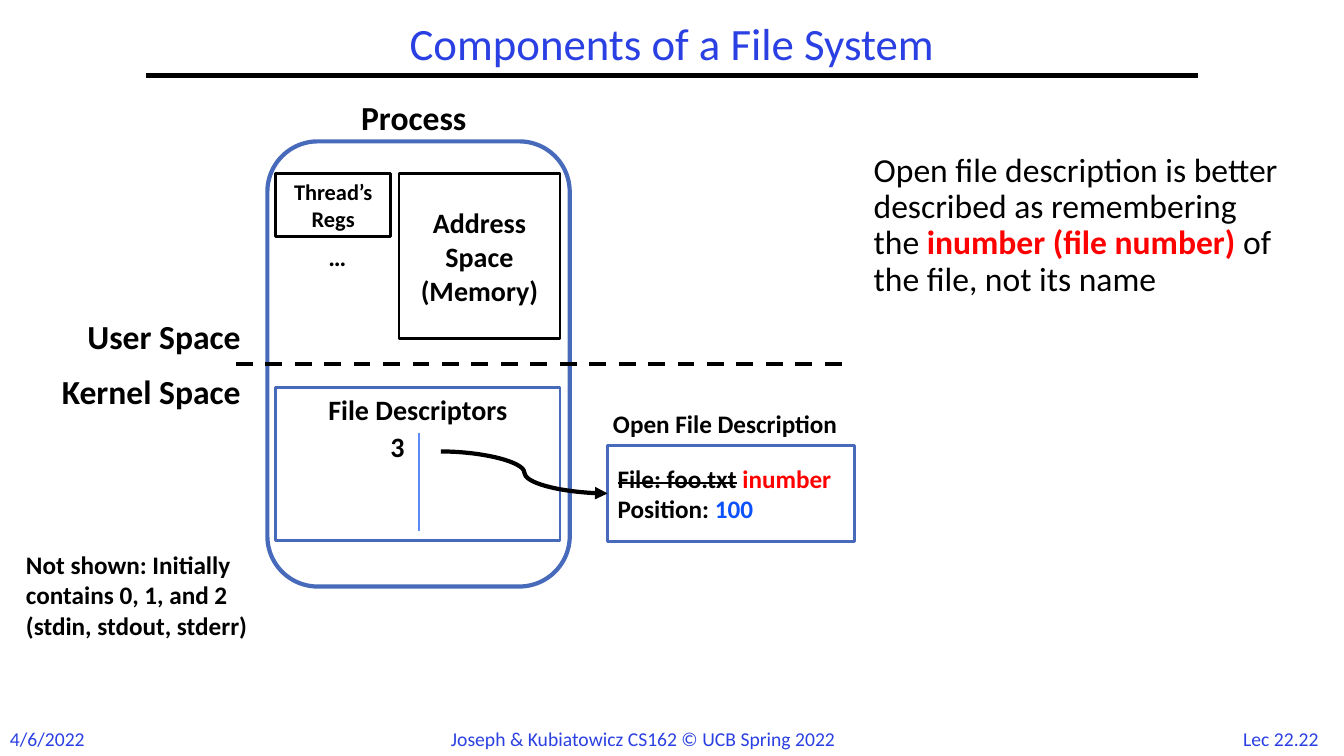
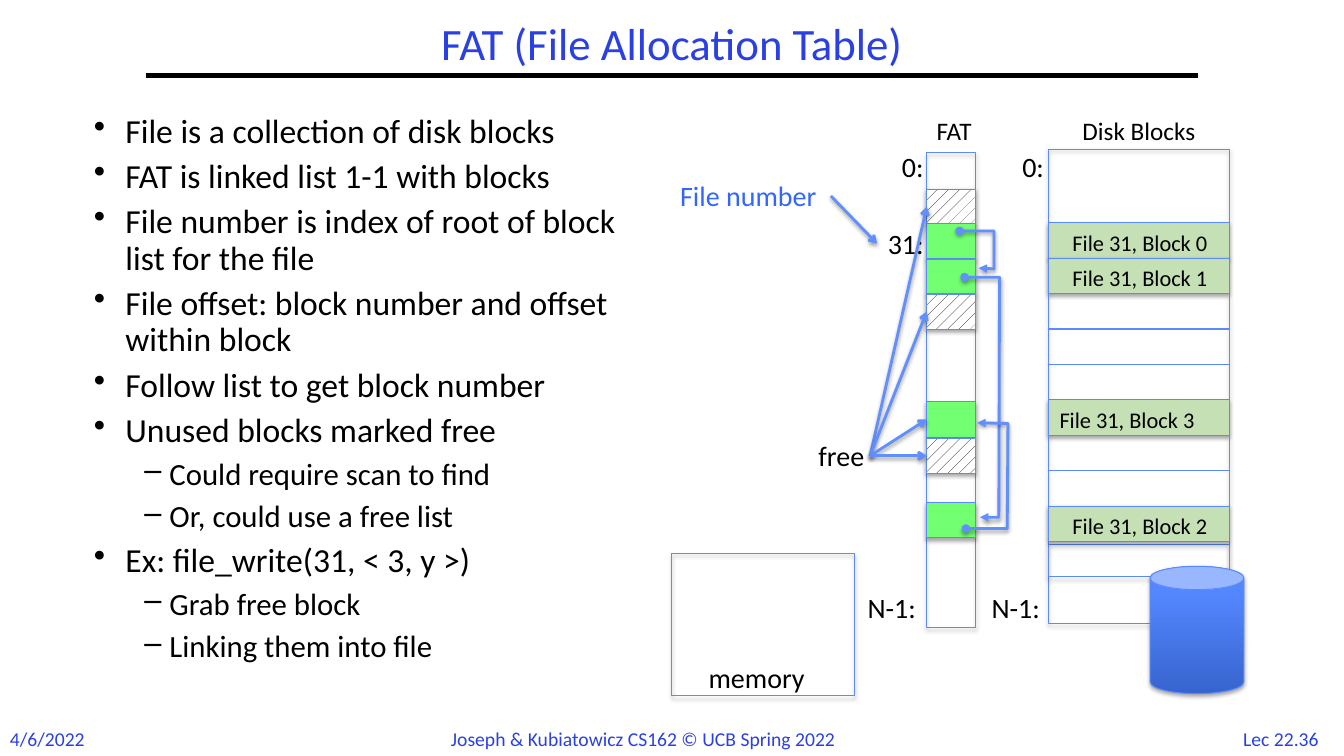
from lxml import etree
from pptx import Presentation
from pptx import util as u
from pptx.dml.color import RGBColor
from pptx.enum import dml, shapes, text
from pptx.oxml.ns import qn

Pt = u.Pt
FONT = "Calibri"
BLACK, WHITE, RED = "000000", "FFFFFF", "FF0000"
TITLE_BLUE, FRAME_BLUE = "2A40E2", "486ABB"
EDGE_BLUE, ARROW_BLUE = "5B8AFB", "618FFD"
CELL_GREEN, BLOCK_GREEN = "72FF72", "C5E0B4"
LEFT, CENTER, RIGHT = text.PP_ALIGN.LEFT, text.PP_ALIGN.CENTER, text.PP_ALIGN.RIGHT
TOP, MIDDLE = text.MSO_ANCHOR.TOP, text.MSO_ANCHOR.MIDDLE
RECT = shapes.MSO_SHAPE.RECTANGLE
STRAIGHT, CURVE = shapes.MSO_CONNECTOR.STRAIGHT, shapes.MSO_CONNECTOR.CURVE
LEFT_SIDE = 1


def color(value):
    return RGBColor.from_string(value)


def add_xml(parent, tag, **attributes):
    return etree.SubElement(parent, qn(tag), attributes)


def cast_shadow(effects, alpha):
    shadow = add_xml(effects, "a:outerShdw", blurRad=str(Pt(3.1)), dist=str(Pt(1.8)),
                     dir="5400000", rotWithShape="0")
    add_xml(add_xml(shadow, "a:srgbClr", val=BLACK), "a:alpha", val=str(alpha * 1000))


def style_shape(shape, fill=None, line=None, width=0.75, shadow=0):
    if fill:
        shape.fill.solid()
        shape.fill.fore_color.rgb = color(fill)
    else:
        shape.fill.background()
    shape.line.color.rgb = color(line)
    shape.line.width = Pt(width)
    shape.shadow.inherit = False
    if shadow:
        cast_shadow(shape._element.spPr.find(qn("a:effectLst")), shadow)


def add_ends(shape, head, tail):
    ln = shape.line._get_or_add_ln()
    for tag, kind in (("a:headEnd", head), ("a:tailEnd", tail)):
        if kind:
            add_xml(ln, tag, type=kind)


def add_box(slide, at, kind=RECT, **style):
    box = slide.shapes.add_shape(kind, *map(Pt, at))
    style_shape(box, **style)
    return box


def add_line(slide, start, end, line=BLACK, width=3, kind=STRAIGHT, dash=None,
             tail=None, shadow=0, target=None):
    """Draw a connector; a target box is joined at the middle of its left side."""
    connector = slide.shapes.add_connector(kind, *map(Pt, (*start, *end)))
    if target is not None:
        connector.end_connect(target, LEFT_SIDE)
    connector.line.color.rgb = color(line)
    connector.line.width = Pt(width)
    if dash:
        connector.line.dash_style = dash
    add_ends(connector, None, tail)
    effects = add_xml(connector._element.spPr, "a:effectLst")
    if shadow:
        cast_shadow(effects, shadow)


def add_link(slide, *points):
    """Draw a bent arrow that starts with a dot."""
    start, *rest = [tuple(map(Pt, point)) for point in points]
    builder = slide.shapes.build_freeform(*start)
    builder.add_line_segments(rest, close=False)
    link = builder.convert_to_shape()
    style_shape(link, line=ARROW_BLUE, width=2, shadow=38)
    add_ends(link, "oval", "triangle")


def format_span(span, size, ink, bold=False, strike=False):
    span.font.name = FONT
    span.font.size = Pt(size)
    span.font.color.rgb = color(ink)
    span.font.bold = bold
    if strike:
        span._r.get_or_add_rPr().set("strike", "sngStrike")


def write(box, *lines, size, ink=BLACK, bold=False, align=LEFT, anchor=TOP, spacing=None):
    """Fill a box; a line is a string or a list of (words, changes) spans."""
    frame = box.text_frame
    frame.word_wrap = True
    frame.vertical_anchor = anchor
    frame.text = "\n" * (len(lines) - 1)
    for para, line in zip(frame.paragraphs, lines):
        para.alignment = align
        if spacing:
            para.line_spacing = spacing
        for words, changes in [(line, {})] if isinstance(line, str) else line:
            span = para.add_run()
            span.text = words
            format_span(span, **{"size": size, "ink": ink, "bold": bold, **changes})


def add_text(slide, at, *lines, **style):
    write(slide.shapes.add_textbox(*map(Pt, at)), *lines, **style)


def add_bullets(slide, at, items):
    frame = slide.shapes.add_textbox(*map(Pt, at)).text_frame
    frame.word_wrap = True
    frame.text = "\n".join(words for _, words in items)
    for para, (level, _) in zip(frame.paragraphs, items):
        size, margin, hang, mark = ((24, 22.5, 22.5, "•"), (22, 54, 18, "–"))[level]
        para.level = level
        para.line_spacing = 0.9
        para.space_before = Pt(6.5)
        format_span(para.runs[0], size, BLACK)
        properties = para._p.get_or_add_pPr()
        properties.set("marL", str(Pt(margin)))
        properties.set("indent", str(-Pt(hang)))
        add_xml(properties, "a:buChar", char=mark)


def start_slide(deck, title, number):
    slide = deck.slides.add_slide(deck.slide_layouts[6])
    add_line(slide, (104, 54), (856, 54))
    add_text(slide, (104, 12, 752, 42), title, size=32, ink=TITLE_BLUE,
             align=CENTER, anchor=MIDDLE, spacing=0.9)
    for left, width, words, align in (
            (0, 80, "4/6/2022", LEFT),
            (315, 328, "Joseph & Kubiatowicz CS162 © UCB Spring 2022", CENTER),
            (876, 78, number, CENTER)):
        if words.startswith("Joseph"):
            align = LEFT
        add_text(slide, (left, 515.5, width, 24), words, size=14, ink=TITLE_BLUE, align=align)
    return slide


def build_components(deck):
    slide = start_slide(deck, "Components of a File System", "Lec 22.22")
    add_text(slide, (617, 106, 307, 343), [
        ("Open file description is better described as remembering the ", {}),
        ("inumber (file number)", {"ink": RED, "bold": True}),
        (" of the file, not its name", {})], size=24, spacing=0.9)

    add_box(slide, (191, 101, 216, 318), shapes.MSO_SHAPE.ROUNDED_RECTANGLE,
            line=FRAME_BLUE, width=3)
    add_line(slide, (168.5, 260), (602, 260), dash=dml.MSO_LINE.DASH)
    for at, words, size, edge, anchor in (
            ((285, 124, 115, 118), "Address Space (Memory)", 20, BLACK, MIDDLE),
            ((197, 124, 82, 45), "Thread’s Regs", 16, BLACK, MIDDLE),
            ((197, 277, 203, 109), "File Descriptors", 20, FRAME_BLUE, TOP)):
        box = add_box(slide, at, fill=WHITE, line=edge, width=2)
        write(box, words, size=size, bold=True, align=CENTER, anchor=anchor)
    add_line(slide, (299, 309), (299, 379.5), line=EDGE_BLUE, width=1.5)

    for at, words, size, align in (
            ((241, 66, 109, 36), "Process", 24, CENTER),
            ((32, 222, 147, 36), "User Space", 24, RIGHT),
            ((11, 261.5, 168, 36), "Kernel Space", 24, RIGHT),
            ((227.5, 169, 32, 29), "…", 18, LEFT),
            ((270, 303, 26, 32), "3", 20, RIGHT),
            ((417, 288, 202, 29), "Open File Description", 18, CENTER),
            ((11.5, 389, 194, 94),
             "Not shown: Initially contains 0, 1, and 2 (stdin, stdout, stderr)", 18, LEFT)):
        add_text(slide, at, words, size=size, bold=True, align=align)

    description = add_box(slide, (434, 318, 176.5, 69), fill=WHITE, line=FRAME_BLUE, width=2)
    write(description,
          [("File: foo.txt", {"strike": True}), (" ", {}), ("inumber", {"ink": RED})],
          [("Position: ", {}), ("100", {"ink": "0B52FC"})],
          size=18, bold=True, anchor=MIDDLE)
    add_line(slide, (315, 322.5), (434, 352.5), kind=CURVE, tail="triangle", target=description)


def add_disk_blocks(slide):
    left, width, first, step = 749, 129, 159.1, 25.3
    blocks = {0: (0, CENTER), 1: (1, CENTER), 5: (3, LEFT), 8: (2, CENTER)}
    add_box(slide, (left, 106.5, width, 339), line=EDGE_BLUE, shadow=35)
    add_box(slide, (left, 389, width, 23), line=EDGE_BLUE, shadow=35)
    for row in range(9):
        top = first + row * step
        if row not in blocks:
            add_box(slide, (left, top, width, step), line=EDGE_BLUE)
            continue
        block, align = blocks[row]
        add_box(slide, (left, top, width, step), fill=BLOCK_GREEN, line=EDGE_BLUE, shadow=35)
        add_text(slide, (left + 0.7, top + 0.7, width, 26.6), f"File 31, Block {block}",
                 size=16, align=align)


def add_fat_column(slide):
    left, width, height = 662, 35, 25.2
    add_box(slide, (left, 109, width, 339), line=EDGE_BLUE, shadow=35)
    cells = {}
    for top, used in ((135, False), (160, True), (185, True), (210, False),
                      (287, True), (313, False), (359, True)):
        cell = add_box(slide, (left, top, width, height), fill=CELL_GREEN,
                       line=EDGE_BLUE, shadow=35)
        if not used:
            cell.fill.patterned()
            cell.fill.pattern = dml.MSO_PATTERN.PERCENT_10
            cell.fill.fore_color.rgb = color(BLACK)
            cell.fill.back_color.rgb = color(WHITE)
        cells[top] = cell
    arrow = {"line": ARROW_BLUE, "width": 2, "tail": "arrow", "shadow": 38}
    for top in (135, 210, 287, 313):
        add_line(slide, (621.5, 325.6), (left, top + height / 2), target=cells[top], **arrow)
    add_line(slide, (593.5, 140), (626.5, 174), **arrow)
    add_link(slide, (685.5, 165), (710, 165), (710, 192), (699, 191.5))
    add_link(slide, (689, 198), (714, 198), (713.5, 369.5), (700, 369.5))
    add_link(slide, (690, 377.5), (719.5, 377.5), (720, 302.5), (698, 302))


def add_disk(slide):
    disk = add_box(slide, (821.5, 404.5, 67, 91), shapes.MSO_SHAPE.CAN,
                   line=EDGE_BLUE, shadow=35)
    disk.fill.gradient()
    disk.fill.gradient_angle = 90
    for stop, position, value in zip(disk.fill.gradient_stops, (0, 0.8), ("3764CE", "5487FF")):
        stop.position = position
        stop.color.rgb = color(value)


def build_fat(deck):
    slide = start_slide(deck, "FAT (File Allocation Table)", "Lec 22.36")
    add_bullets(slide, (60, 78, 405, 421), [
        (0, "File is a collection of disk blocks"),
        (0, "FAT is linked list 1-1 with blocks"),
        (0, "File number is index of root of block list for the file"),
        (0, "File offset: block number and offset within block"),
        (0, "Follow list to get block number"),
        (0, "Unused blocks marked free"),
        (1, "Could require scan to find"),
        (1, "Or, could use a free list"),
        (0, "Ex: file_write(31, < 3, y >)"),
        (1, "Grab free block"),
        (1, "Linking them into file")])
    add_disk_blocks(slide)
    add_box(slide, (480, 395.5, 130.5, 101.5), line=EDGE_BLUE, shadow=35)
    for at, words, size, ink in (
            ((752, 78.5, 123, 29), "Disk Blocks", 18, BLACK),
            ((658, 78.5, 47, 29), "FAT", 18, BLACK),
            ((721, 103, 34, 32), "0:", 20, BLACK),
            ((636, 103, 32, 32), "0:", 20, BLACK),
            ((698.5, 418.5, 54, 32), "N-1:", 20, BLACK),
            ((610.5, 418.5, 53, 32), "N-1:", 20, BLACK),
            ((626, 158.5, 42, 32), "31:", 20, BLACK),
            ((474, 124, 121, 32), "File number", 20, "3366FF"),
            ((573, 309.5, 56, 32), "free", 20, BLACK),
            ((497, 468, 87, 32), "memory", 20, BLACK)):
        add_text(slide, at, words, size=size, ink=ink, align=CENTER)
    add_fat_column(slide)
    add_disk(slide)


def main():
    deck = Presentation()
    deck.slide_width, deck.slide_height = Pt(960), Pt(540)
    build_components(deck)
    build_fat(deck)
    deck.save("out.pptx")


if __name__ == "__main__":
    main()
